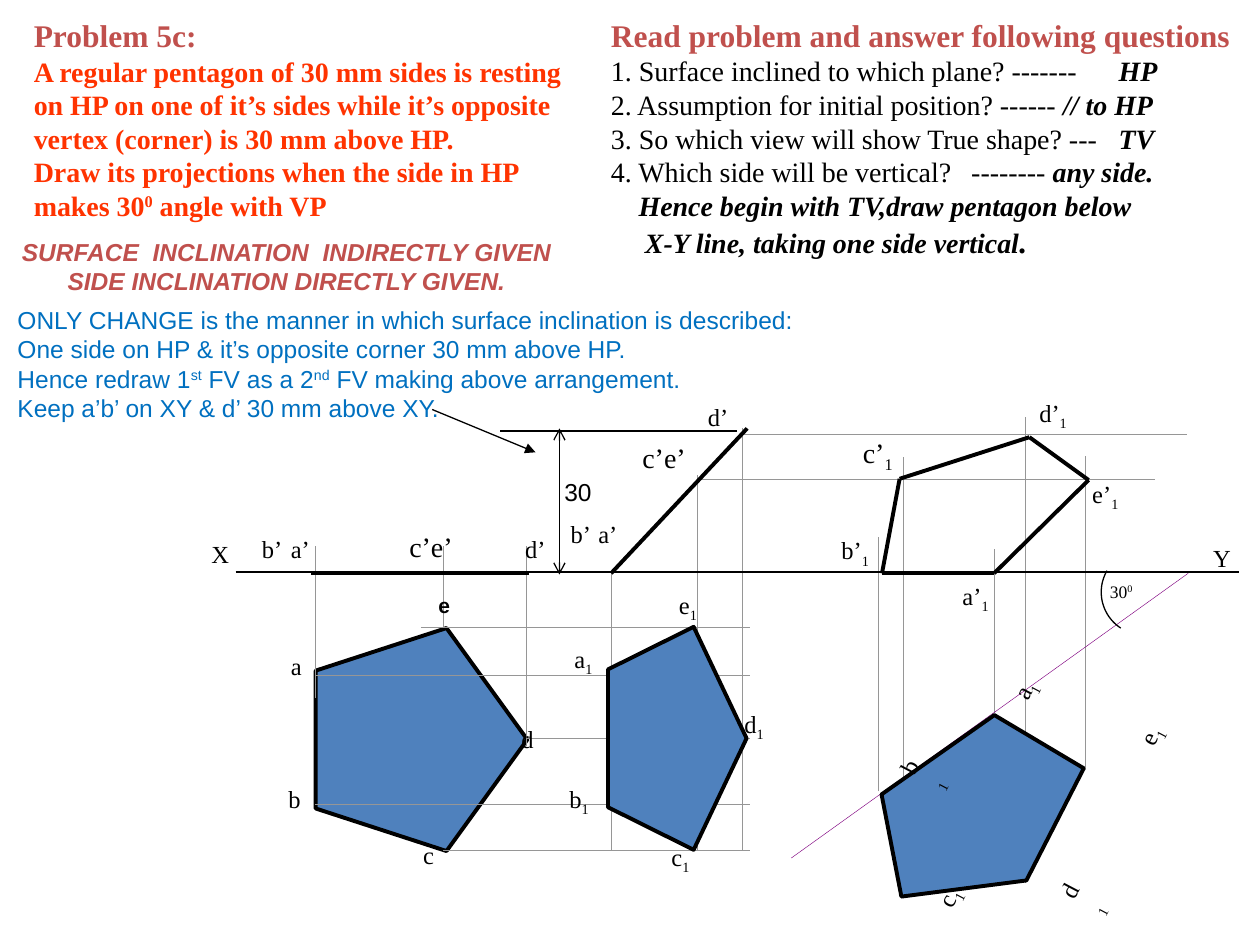
from math import cos, radians, sin

from lxml.etree import SubElement
from pptx import Presentation
from pptx.dml.color import RGBColor
from pptx.enum.shapes import MSO_CONNECTOR as Connector, MSO_SHAPE as Shape
from pptx.enum.text import MSO_AUTO_SIZE as AutoSize, PP_ALIGN as Align
from pptx.oxml.ns import qn
from pptx.util import Inches, Pt

COLORS = {
    "ink": "000000", "heading": "C0504D", "problem": "FF3300", "note": "0070C0",
    "pentagon": "4F81BD", "projector": "969696", "ground": "800080",
}
SERIF, SANS = "Times New Roman", "Arial"
XY = 4.54  # height of the reference line


def rgb(name):
    return RGBColor.from_string(COLORS[name])


def add_text(paragraph, text, size=14, font=SERIF, color="ink",
             bold=False, italic=False, shift=0):
    """Add one run; shift raises or lowers it, in percent."""
    run = paragraph.add_run()
    run.text = text
    run.font.size, run.font.name = Pt(size), font
    run.font.bold, run.font.italic = bold, italic
    run.font.color.rgb = rgb(color)
    if shift:
        run.font._element.set("baseline", str(shift * 1000))


class Drawing:
    def __init__(self, slide):
        self.slide = slide

    def text(self, left, top, width, height, paragraphs, wrap=False,
             align=Align.LEFT, rotation=0, **style):
        """Each paragraph is a list of (text, format) runs."""
        shape = self.slide.shapes.add_textbox(
            Inches(left), Inches(top), Inches(width), Inches(height))
        shape.rotation = rotation
        frame = shape.text_frame
        frame.word_wrap = wrap
        frame.auto_size = AutoSize.SHAPE_TO_FIT_TEXT
        for index, runs in enumerate(paragraphs):
            paragraph = frame.add_paragraph() if index else frame.paragraphs[0]
            paragraph.alignment = align
            for words, changes in runs:
                add_text(paragraph, words, **{**style, **changes})
        return frame

    def label(self, left, top, width, name, index="", shift=-25, size=14, **options):
        runs = [(name, {})]
        if index:
            runs.append((index, {"shift": shift}))
        height = 0.1 + size / 60
        self.text(left, top, width, height, [runs], size=size, **options)

    def line(self, start, end, color="ink", weight=0.75, **arrows):
        connector = self.slide.shapes.add_connector(
            Connector.STRAIGHT, *(Inches(value) for value in (*start, *end)))
        connector.line.color.rgb = rgb(color)
        connector.line.width = Pt(weight)
        properties = connector._element.spPr
        outline = connector.line._get_or_add_ln()
        for end_name in ("headEnd", "tailEnd"):
            if end_name in arrows:
                SubElement(outline, qn("a:" + end_name), type=arrows[end_name])
        SubElement(properties, qn("a:effectLst"))

    def pentagon(self, left, top, width, height, rotation, flip=False):
        shape = self.slide.shapes.add_shape(
            Shape.REGULAR_PENTAGON, Inches(left), Inches(top),
            Inches(width), Inches(height))
        shape.rotation = rotation
        if flip:
            shape._element.spPr.xfrm.set("flipV", "1")
        shape.shadow.inherit = False
        shape.fill.solid()
        shape.fill.fore_color.rgb = rgb("pentagon")
        shape.line.color.rgb = rgb("ink")
        shape.line.width = Pt(2.25)

    def arc(self, center, radius, first, last, step=3):
        points = [(Inches(center[0] + radius * cos(radians(angle))),
                   Inches(center[1] + radius * sin(radians(angle))))
                  for angle in range(first, last + 1, step)]
        builder = self.slide.shapes.build_freeform(*points[0])
        builder.add_line_segments(points[1:], close=False)
        shape = builder.convert_to_shape()
        shape.shadow.inherit = False
        shape.fill.background()
        shape.line.color.rgb = rgb("ink")
        shape.line.width = Pt(0.75)


def set_tab(paragraph, position):
    tabs = SubElement(paragraph._p.get_or_add_pPr(), qn("a:tabLst"))
    SubElement(tabs, qn("a:tab"), pos=str(Inches(position)), algn="l")


presentation = Presentation()
presentation.slide_width, presentation.slide_height = Inches(10), Inches(7.5)
drawing = Drawing(presentation.slides.add_slide(presentation.slide_layouts[6]))

# Questions and answers
heading = {"size": 18, "color": "heading", "bold": True}
answer = {"bold": True, "italic": True}
questions = drawing.text(4.75, 0.08, 5.12, 2.04, [
    [("Read problem and answer following questions", heading)],
    [("1. Surface inclined to which plane? -------\t", {}), ("HP", answer)],
    [("2. Assumption for initial position? ------ ", {}), ("// to HP", answer)],
    [("3. So which view will show True shape? ---\t", {}), ("TV", answer)],
    [("4. Which side will be vertical?\t-------- ", {}), ("any side.", answer)],
    [("Hence begin with TV,draw pentagon below", answer)],
    [("X-Y line, taking one side vertical", answer), (".", {**answer, "size": 18})],
], size=16).paragraphs
for row, position in ((1, 4.03), (3, 4.03), (4, 2.86)):
    set_tab(questions[row], position)
for row, indent in ((5, 0.22), (6, 0.27)):
    questions[row]._p.get_or_add_pPr().set("marL", str(Inches(indent)))

# Problem statement
drawing.text(0.17, 0.08, 4.57, 1.75, [
    [("Problem 5c:", heading)],
    [("A regular pentagon of 30 mm sides is resting on HP on one of it’s sides "
      "while it’s opposite vertex (corner) is 30 mm above HP.", {})],
    [("Draw its projections when the side in HP makes 30", {}),
     ("0", {"shift": 30}), (" angle with VP", {})],
], wrap=True, size=16, color="problem", bold=True)

# First top view and the projectors
drawing.pentagon(2.46, 5.03, 1.77, 1.68, 90)
verticals = [
    (2.5, 4.33, 5.54), (3.52, 4.33, 4.98), (4.18, 4.33, 5.92),
    (5.89, 3.4, 6.75), (5.53, 3.77, 6.75), (4.85, 4.54, 6.75),
    (7.17, 3.63, 7.11), (8.14, 3.31, 7.01), (6.97, 4.26, 6.28),
    (8.61, 3.62, 6.1), (7.89, 4.36, 5.66),
]
horizontals = [
    (4.98, 3.34, 5.95), (5.36, 2.5, 5.95), (5.86, 4.18, 5.95), (6.38, 2.5, 5.95),
    (6.75, 3.52, 5.95), (3.45, 5.88, 9.42), (3.8, 5.54, 9.17),
]
for x, top, bottom in verticals:
    drawing.line((x, bottom), (x, top), "projector", 0.25)
for y, left, right in horizontals:
    drawing.line((left, y), (right, y), "projector", 0.25)

# Second and third top views
drawing.pentagon(4.49, 5.31, 1.77, 1.1, 90)
drawing.line((6.28, 6.81), (9.43, 4.55), "ground", 0.25)
drawing.pentagon(6.91, 5.88, 1.77, 1.22, 324.9, flip=True)

# Front views
drawing.line((2.47, 4.55), (4.2, 4.55), weight=2.25)
drawing.line((4.85, 4.55), (5.93, 3.4), weight=2.25)
corners = [(8.17, 3.47), (7.14, 3.8), (7, 4.55), (7.89, 4.55), (8.64, 3.81)]
for start, end in zip(corners, corners[1:] + corners[:1]):
    drawing.line(start, end, weight=2.25)
drawing.line((1.87, XY), (9.83, XY))

# Point names
for left, top, width, *name in [
    (1.58, 4.23, 0.34, "X"), (9.53, 4.26, 0.34, "Y"),
    (2.21, 4.19, 0.35, "a’"), (1.98, 4.19, 0.36, "b’"), (4.07, 4.19, 0.36, "d’"),
    (4.65, 4.07, 0.35, "a’"), (4.43, 4.07, 0.36, "b’"), (5.52, 3.14, 0.36, "d’"),
    (2.21, 5.12, 0.29, "a"), (2.19, 6.17, 0.3, "b"),
    (3.26, 6.62, 0.29, "c"), (4.04, 5.7, 0.3, "d"),
    (4.46, 5.06, 0.35, "a", "1"), (4.42, 6.17, 0.36, "b", "1"),
    (5.23, 6.63, 0.35, "c", "1"), (5.81, 5.58, 0.36, "d", "1"),
    (5.29, 4.63, 0.35, "e", "1"),
    (7.54, 4.56, 0.41, "a’", "1"), (6.58, 4.2, 0.42, "b’", "1"),
    (8.15, 3.11, 0.43, "d’", "1"), (8.57, 3.75, 0.41, "e’", "1"),
]:
    drawing.label(left, top, width, *name)
for left, top, width, *name in [
    (3.15, 4.15, 0.55, "c’e’"), (5, 3.45, 0.55, "c’e’"), (6.75, 3.41, 0.45, "c’", "1"),
]:
    drawing.label(left, top, width, *name, size=16)
for left, top, name in [
    (7.95, 5.3, "a"), (7.05, 5.89, "b"), (7.35, 6.95, "c"),
    (8.32, 6.88, "d"), (8.95, 5.66, "e"),
]:
    drawing.label(left, top, 0.35, name, "1", rotation=297.7)
drawing.label(3.38, 4.65, 0.35, "e", size=12, font=SANS, bold=True, wrap=True)

# Angle with VP
drawing.label(8.71, 4.56, 0.39, "30", "0", shift=30, size=10)
drawing.arc((9.08, 4.7), 0.34, 123, 210)

# Notes
drawing.text(0.06, 1.83, 4.43, 0.57, [
    [("SURFACE  INCLINATION  INDIRECTLY GIVEN", {})],
    [("SIDE INCLINATION DIRECTLY GIVEN.", {})],
], align=Align.CENTER, font=SANS, color="heading", bold=True, italic=True)
drawing.text(0.04, 2.37, 8.1, 1.04, [
    [("ONLY CHANGE is the manner in which surface inclination is described:", {})],
    [("One side on HP & it’s opposite corner 30 mm above HP.", {})],
    [("Hence redraw 1", {}), ("st", {"shift": 30}), (" FV as a 2", {}),
     ("nd", {"shift": 30}), (" FV making above arrangement.", {})],
    [("Keep a’b’ on XY & d’ 30 mm above XY.", {})],
], wrap=True, align=Align.JUSTIFY, font=SANS, color="note")
drawing.line((3.43, 3.25), (4.25, 3.59), tailEnd="triangle")

# Height dimension
drawing.line((5.85, 3.42), (3.97, 3.42))
drawing.line((4.44, 3.4), (4.44, 4.56), headEnd="arrow", tailEnd="arrow")
drawing.label(4.38, 3.74, 0.42, "30", font=SANS)

presentation.save("out.pptx")
